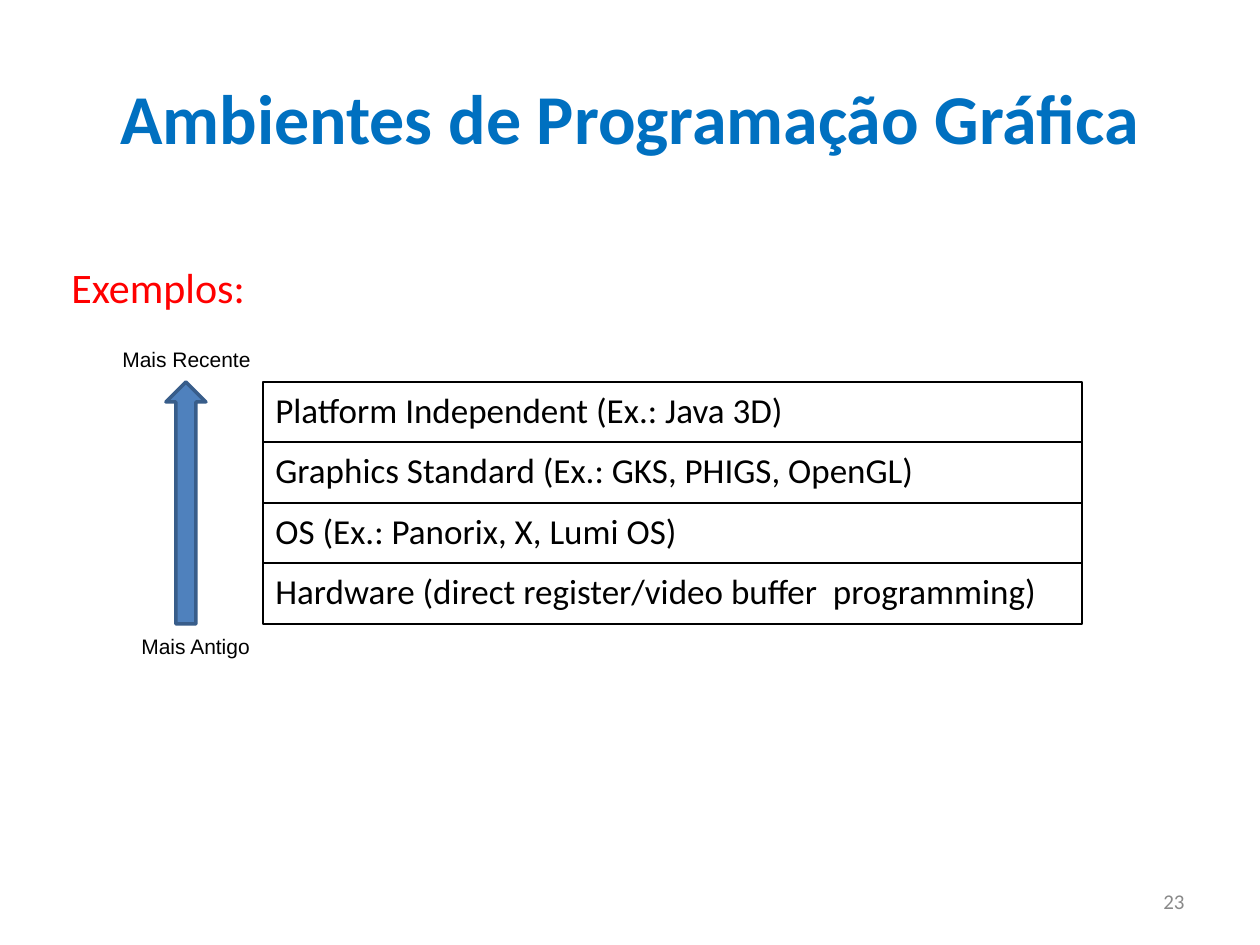
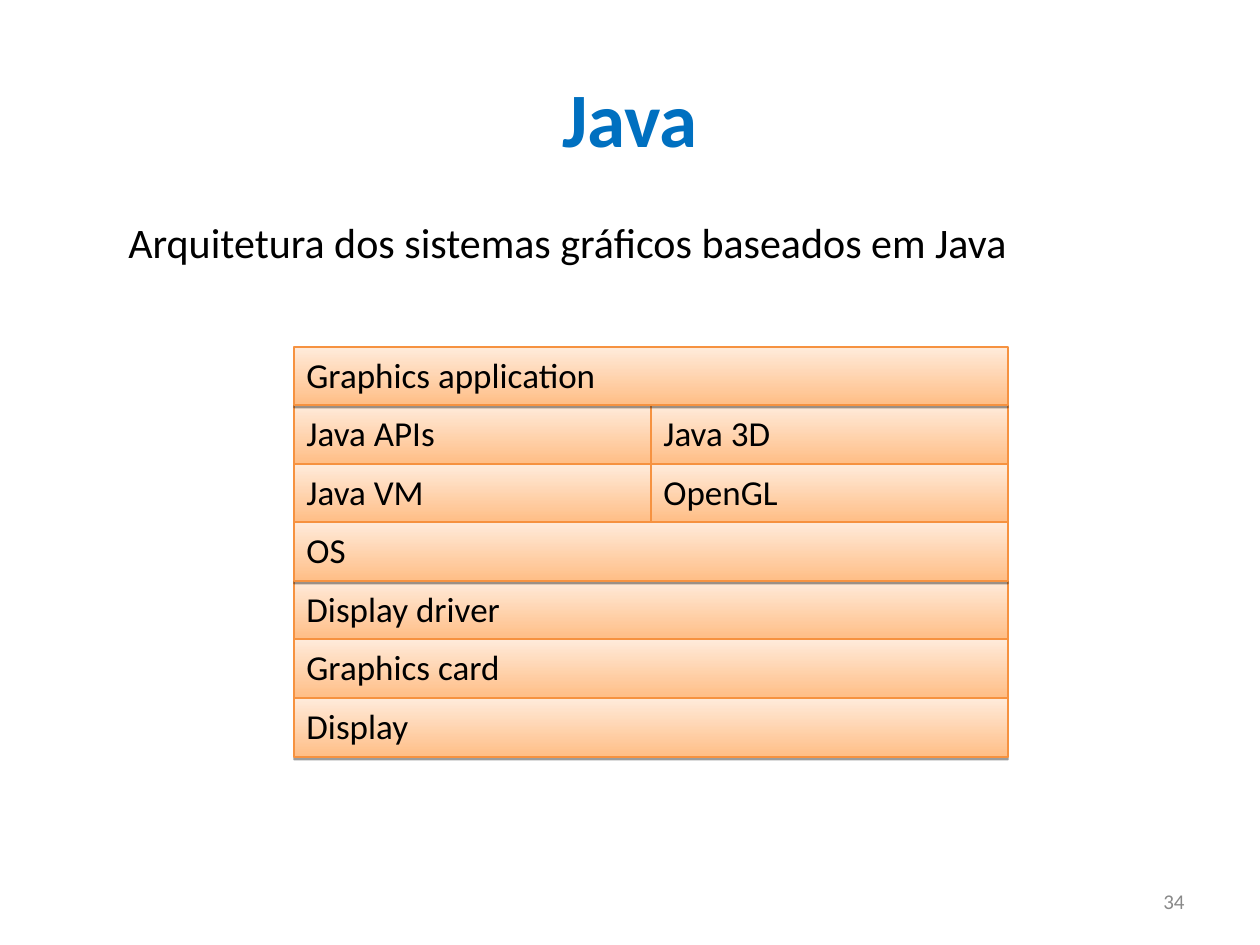
"""Build two slides on graphics programming layers and the Java graphics architecture."""
from lxml import etree
from pptx import Presentation
from pptx.dml.color import RGBColor
from pptx.enum.shapes import MSO_SHAPE as Shape
from pptx.enum.text import MSO_ANCHOR as Anchor, MSO_AUTO_SIZE as AutoSize, PP_ALIGN as Align
from pptx.oxml.ns import qn
from pptx.util import Emu, Pt

SCALE = 914400 / 126
COLORS = {key: RGBColor.from_string(value) for key, value in {
    "title": "0070C0", "heading": "FF0000", "text": "000000", "number": "898989",
    "white": "FFFFFF", "arrow": "4F81BD", "arrow_line": "385D8A",
    "orange": "FFBE86", "pale_orange": "FFEBDB", "orange_line": "F69240"}.items()}


def px(*lengths):
    """Turn pixel lengths into EMU."""
    return [Emu(round(length * SCALE)) for length in lengths]


def write(shape, text, size=20, color="text", font="Calibri", bold=False,
          align=Align.LEFT, anchor=Anchor.TOP, wrap=True):
    """Put one formatted paragraph into a shape."""
    frame = shape.text_frame
    frame.text = text
    frame.word_wrap = wrap
    frame.auto_size = AutoSize.NONE if wrap else AutoSize.SHAPE_TO_FIT_TEXT
    frame.vertical_anchor = anchor
    paragraph = frame.paragraphs[0]
    paragraph.alignment = align
    paragraph.font.name = font
    paragraph.font.size = Pt(size)
    paragraph.font.bold = bold
    paragraph.font.color.rgb = COLORS[color]


presentation = Presentation()
presentation.slide_width, presentation.slide_height = px(1260, 945)

slides = []
for title, title_size, number in [("Ambientes de Programação Gráfica", 40, "23"),
                                  ("Java", 44, "34")]:
    slide = presentation.slides.add_slide(presentation.slide_layouts[5])
    heading = slide.shapes.title
    heading.left, heading.top, heading.width, heading.height = px(63, 38, 1134, 157)
    write(heading, title, size=title_size, color="title", bold=True,
          align=Align.CENTER, anchor=Anchor.MIDDLE)
    write(slide.shapes.add_textbox(*px(903, 876, 294, 50)), number, size=12,
          color="number", align=Align.RIGHT, anchor=Anchor.MIDDLE)
    slides.append(slide)
environments, java = slides

write(environments.shapes.add_textbox(*px(59, 255, 762, 69)), "Exemplos:",
      size=24, color="heading")
write(java.shapes.add_textbox(*px(116, 210, 1071, 73)),
      "Arquitetura dos sistemas gráficos baseados em Java", size=24)

for label, left, top, width in [("Mais Antigo", 129, 627, 135), ("Mais Recente", 110, 340, 154)]:
    write(environments.shapes.add_textbox(*px(left, top, width, 38)), label,
          size=12, font="Arial", wrap=False)

age_arrow = environments.shapes.add_shape(Shape.UP_ARROW, *px(166, 382, 40, 242))
age_arrow.shadow.inherit = False
age_arrow.fill.solid()
age_arrow.fill.fore_color.rgb = COLORS["arrow"]
age_arrow.line.color.rgb = COLORS["arrow_line"]
age_arrow.line.width = Pt(2)

environment_layers = [
    ("Hardware (direct register/video buffer  programming)", 3, 0, 1),
    ("OS (Ex.: Panorix, X, Lumi OS)", 2, 0, 1),
    ("Graphics Standard (Ex.: GKS, PHIGS, OpenGL)", 1, 0, 1),
    ("Platform Independent (Ex.: Java 3D)", 0, 0, 1),
]
java_layers = [
    ("Java 3D", 1, 1, 1), ("OpenGL", 2, 1, 1), ("Java APIs", 1, 0, 1),
    ("Display driver", 4, 0, 2), ("Graphics card", 5, 0, 2), ("Display", 6, 0, 2),
    ("Graphics application", 0, 0, 2), ("Java VM", 2, 0, 1), ("OS", 3, 0, 2),
]

for slide, layers, left, top, column_width, stack_height, row_count in [
        (environments, environment_layers, 263, 382, 819, 242, 4),
        (java, java_layers, 294, 347, 357, 410, 7)]:
    edges = [top + stack_height * row // row_count for row in range(row_count + 1)]
    for text, row, column, span in layers:
        layer = slide.shapes.add_shape(Shape.RECTANGLE, *px(
            left + column * column_width, edges[row],
            span * column_width, edges[row + 1] - edges[row]))
        layer.shadow.inherit = False
        layer.line.width = Pt(0.75)
        if slide is java:
            layer.fill.gradient()
            layer.fill.gradient_angle = 90
            for stop, color in zip(layer.fill.gradient_stops, ("orange", "pale_orange")):
                stop.color.rgb = COLORS[color]
            layer.line.color.rgb = COLORS["orange_line"]
            effects = layer.element.spPr.find(qn("a:effectLst"))
            shadow = etree.SubElement(effects, qn("a:outerShdw"), blurRad="0", dist="20000",
                                      dir="5400000", rotWithShape="0")
            shadow_color = etree.SubElement(shadow, qn("a:srgbClr"), val="000000")
            etree.SubElement(shadow_color, qn("a:alpha"), val="38000")
        else:
            layer.fill.solid()
            layer.fill.fore_color.rgb = COLORS["white"]
            layer.line.color.rgb = COLORS["text"]
        write(layer, text)

presentation.save("out.pptx")
